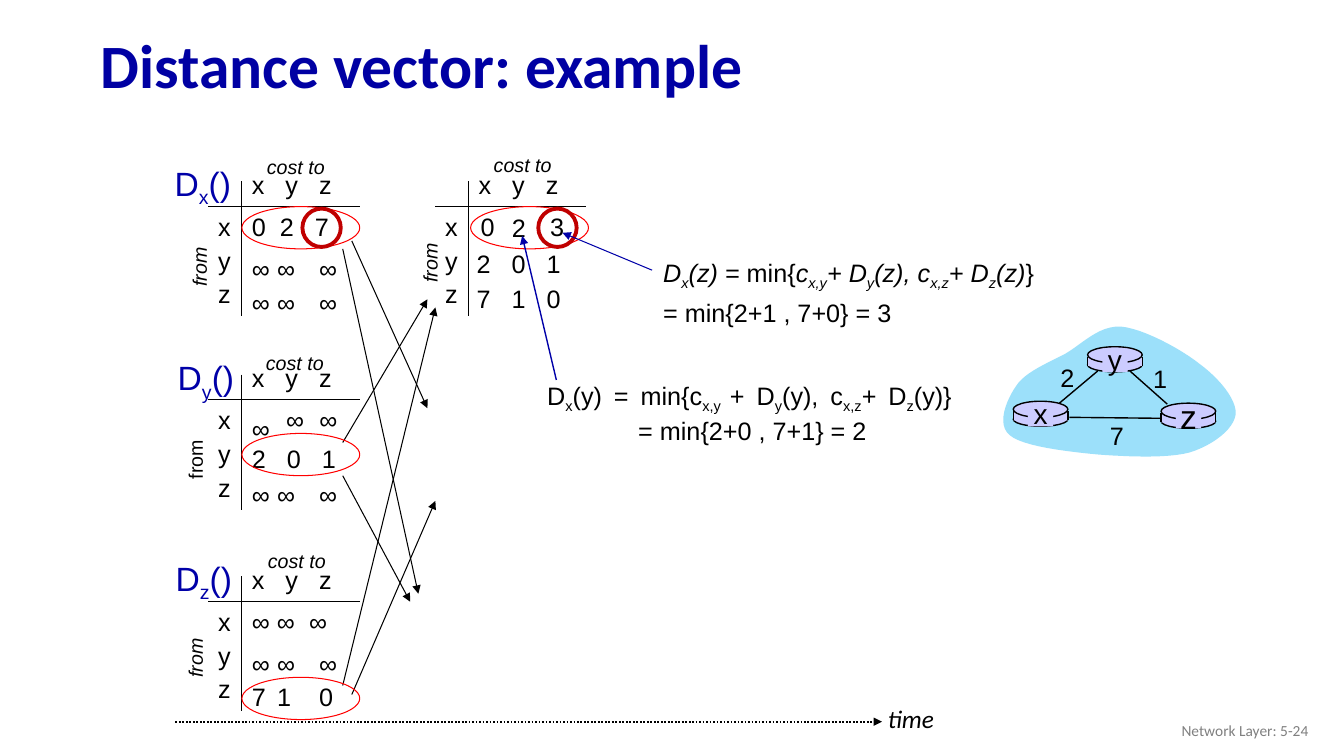
import pptx
import pptx.util
import pptx.dml.color
import pptx.enum.dml
import pptx.enum.shapes
import pptx.enum.text
import pptx.oxml
import pptx.oxml.ns

Pt = pptx.util.Pt
SHAPES = pptx.enum.shapes.MSO_SHAPE
ALIGN = pptx.enum.text.PP_ALIGN
ANCHOR = pptx.enum.text.MSO_ANCHOR
COLORS = {
    "title": "0000A3", "footer": "808080", "black": "000000", "blue": "0000A8",
    "red": "FF0000", "dark red": "C00000", "cloud": "9CE0FA", "router": "CCCCFF",
}
COLORS = {name: pptx.dml.color.RGBColor.from_string(value) for name, value in COLORS.items()}

presentation = pptx.Presentation()
presentation.slide_width, presentation.slide_height = Pt(960), Pt(540)
slide = presentation.slides.add_slide(presentation.slide_layouts[6])


def write(text, left, top, width, height, size=18, font="Arial", color="black", bold=False,
          italic=False, align=ALIGN.LEFT, anchor=ANCHOR.TOP, spacing=None, tabs=(), rotation=0):
    """Between bars text is subscript, between tildes upright; \\v breaks a line."""
    box = slide.shapes.add_textbox(Pt(left), Pt(top), Pt(width), Pt(height))
    box.rotation = rotation
    frame = box.text_frame
    frame.word_wrap = True
    frame.vertical_anchor = anchor
    frame.margin_left = Pt(7.2 if align in (ALIGN.LEFT, ALIGN.JUSTIFY) else 0)
    frame.margin_right = Pt(7.2 if align == ALIGN.RIGHT else 0)
    for number, content in enumerate(text.split("\n")):
        paragraph = frame.add_paragraph() if number else frame.paragraphs[0]
        paragraph.alignment = align
        if spacing:
            paragraph.line_spacing = spacing
        if tabs:
            properties = paragraph._p.get_or_add_pPr()
            tab_list = properties.makeelement(pptx.oxml.ns.qn("a:tabLst"), {})
            properties.append(tab_list)
            for position in tabs:
                tab_list.append(tab_list.makeelement(
                    pptx.oxml.ns.qn("a:tab"), {"pos": str(Pt(position)), "algn": "l"}))
        for level, part in enumerate(content.split("|")):
            for slant, piece in enumerate(part.split("~")):
                for row, words in enumerate(piece.split("\v")):
                    if row:
                        paragraph.add_line_break()
                    if not words:
                        continue
                    run = paragraph.add_run()
                    run.text = words
                    run.font.size, run.font.name, run.font.bold = Pt(size), font, bold
                    run.font.italic = italic and slant % 2 == 0
                    run.font.color.rgb = COLORS[color]
                    if level % 2:
                        run.font._element.set("baseline", "-25000")


def line(x1, y1, x2, y2, color="black", weight=0.75, arrow=False, dash=None):
    connector = slide.shapes.add_connector(
        pptx.enum.shapes.MSO_CONNECTOR.STRAIGHT, Pt(x1), Pt(y1), Pt(x2), Pt(y2))
    connector.line.color.rgb = COLORS[color]
    connector.line.width = Pt(weight)
    if dash:
        connector.line.dash_style = dash
    if arrow:
        outline = connector.line._get_or_add_ln()
        outline.append(outline.makeelement(pptx.oxml.ns.qn("a:tailEnd"), {"type": "triangle"}))
    properties = connector._element.spPr
    properties.append(properties.makeelement(pptx.oxml.ns.qn("a:effectLst"), {}))


# Title and footer
write("Distance vector: example", 64.8, 13.7, 857.5, 70.6, size=44, font="Calibri",
      color="title", bold=True, anchor=ANCHOR.MIDDLE, spacing=0.9)
write("Network Layer: 5-24", 725.8, 507.6, 216, 28.8, size=11, font="Calibri",
      color="footer", align=ALIGN.RIGHT, anchor=ANCHOR.MIDDLE)

# Distance tables: axis corner, name, "cost to", "from" and its slant,
# then rows of (distance below the axis, columns, values)
wide, even = (0, 18, 48), (0, 25, 50)
tables = [
    (172.8, 147.6, ("D|x|()", 115.9, 114.5), (183.6, 107.3), (121, 178.6), True,
     [(0, (0, 20, 45), "0\t2\t7"), (29.5, wide, "∞∞∞"), (54, wide, "∞∞∞")]),
    (334.8, 147.6, None, (345.6, 105.8), (285.8, 175.7), True,
     [(0, (1.4, 51.1), "03"), (0.7, (23.8,), "2"),
      (25.9, (-1.4, 25, 50), "2\t0\t1"), (51.1, (-1.4, 25, 50), "7\t1\t0")]),
    (172.8, 285.6, ("D|y|()", 118.1, 253.4), (182.9, 247), (118.1, 316.1), False,
     [(0, (24.5, 48.2), "∞∞"), (6, even, "∞\n2\t0\t1"), (53.5, wide, "∞∞∞")]),
    (172.8, 429.6, ("D|z|()", 116.6, 396.7), (184.3, 388.8), (118.1, 457.9), True,
     [(0, (0, 18, 41), "∞\t∞\t∞"), (30, wide, "∞∞∞"), (53.5, wide, "710")]),
]
for axis_x, axis_y, name, cost_at, from_at, slanted, rows in tables:
    line(axis_x, axis_y - 18, axis_x, axis_y + 78.4)
    line(axis_x - 24, axis_y, axis_x + 84, axis_y)
    write("x\ty\tz", axis_x, axis_y - 30.2, 71.3, 29, tabs=(24, 48))
    for index, node in enumerate("xyz"):
        write(node, axis_x - 24, axis_y + 24 * index, 24, 29)
    for below, columns, values in rows:
        if "\t" in values:
            write(values, axis_x + columns[0], axis_y + below, 78, 29, tabs=columns[1:])
        else:
            for column, value in zip(columns, values):
                write(value, axis_x + column, axis_y + below, 27, 29)
    write("cost to", *cost_at, 55.4, 24, size=14, italic=True)
    write("from", *from_at, 42.5, 24, size=14, italic=slanted, rotation=270)
    if name:
        write(*name, 56.2, 31.7, size=24, color="blue", align=ALIGN.RIGHT, spacing=0.85)

# Messages between the nodes
for ends in [(251.3, 172.1, 305.3, 291.6), (244.8, 177.8, 298.8, 424.1),
             (244.8, 316.1, 305.3, 213.8), (244.8, 339.8, 293, 429.8),
             (244.8, 489.6, 311, 219.6), (251.3, 496.1, 311, 357.8)]:
    line(*ends, arrow=True)

# Time axis
line(125.3, 515.5, 630, 515.5, weight=1.25, arrow=True,
     dash=pptx.enum.dml.MSO_LINE.ROUND_DOT)
write("time", 627.1, 499, 48.2, 29, font="Calibri", italic=True)

# Network cloud, from cubic curves
cloud_start = (725.8, 275.8)
cloud_curves = [
    ((732.2, 265.7), (748.8, 259.2), (761, 252.7)),
    ((773.3, 245.5), (784.8, 232.6), (800.6, 233.3)),
    ((816.5, 234.7), (843.1, 249.1), (856.8, 259.9)),
    ((870.5, 270), (883.4, 285.1), (882.7, 295.9)),
    ((881.3, 306.7), (866.2, 318.2), (849.6, 323.3)),
    ((833, 327.6), (805, 326.2), (784.1, 324.7)),
    ((762.5, 322.6), (730.8, 319), (721.4, 311)),
    ((711.4, 303.1), (719.3, 285.1), cloud_start),
]
outline_points = []
begin = cloud_start
for first, second, end in cloud_curves:
    for step in range(1, 13):
        t = step / 12
        outline_points.append(tuple(
            Pt((1 - t) ** 3 * a + 3 * (1 - t) ** 2 * t * b + 3 * (1 - t) * t ** 2 * c + t ** 3 * d)
            for a, b, c, d in zip(begin, first, second, end)))
    begin = end
builder = slide.shapes.build_freeform(Pt(cloud_start[0]), Pt(cloud_start[1]))
builder.add_line_segments(outline_points, close=True)
cloud = builder.convert_to_shape()
cloud.shadow.inherit = False
cloud.fill.solid()
cloud.fill.fore_color.rgb = COLORS["cloud"]
cloud.line.fill.background()

# Links and their costs
for ends, cost, left, top in [((756.7, 288, 784.1, 265), "2", 750.2, 254.9),
                              ((807.1, 265, 833.8, 288.7), "1", 816.5, 255.6),
                              ((831, 298.8, 763.9, 298.1), "7", 785.5, 296.6)]:
    line(*ends, weight=1)
    write(cost, left, top, 24.5, 29, align=ALIGN.CENTER)

# Routers: base, body with sides, top and label patch
for node, left, top, size in [("x", 723.8, 286.6, 20), ("z", 829.4, 288, 24),
                              ("y", 776.9, 247.7, 20)]:
    for kind, dx, dy, width, height, outlined in [
            (SHAPES.OVAL, 0, 7.9, 39, 10, True), (SHAPES.RECTANGLE, 0, 7.2, 39, 6.5, False),
            (SHAPES.OVAL, 0, 0, 39, 11.5, True), (SHAPES.RECTANGLE, 10.5, 1.4, 18, 16.6, False)]:
        shape = slide.shapes.add_shape(kind, Pt(left + dx), Pt(top + dy), Pt(width), Pt(height))
        shape.shadow.inherit = False
        shape.fill.solid()
        shape.fill.fore_color.rgb = COLORS["router"]
        if outlined:
            shape.line.color.rgb = COLORS["black"]
            shape.line.width = Pt(1)
        else:
            shape.line.fill.background()
    for side in (left, left + 39):
        line(side, top + 7.2, side, top + 13.7, weight=1)
    label_height = size * 1.2 + 7.2
    write(node, left + 7, top + 9 - label_height / 2, 25, label_height, size=size,
          align=ALIGN.CENTER)

# Rings around the sent rows and the changed cost
row_rings = [(left, top, 84.2, 30.2, "red", 0.75) for left, top in
             [(172.8, 147.6), (172.8, 309.6), (172.8, 483.8), (336.2, 147.6)]]
cost_rings = [(left, 149, 27.4, 27.4, "dark red", 2.75) for left in (216, 384.5)]
for left, top, width, height, color, weight in row_rings + cost_rings:
    ring = slide.shapes.add_shape(SHAPES.OVAL, Pt(left), Pt(top), Pt(width), Pt(height))
    ring.shadow.inherit = False
    ring.fill.background()
    ring.line.color.rgb = COLORS[color]
    ring.line.width = Pt(weight)

# Formulas and their pointers
write("D|x|(y) = min{c|x,y |+ D|y|(y), c|x,z|+ D|z|(y)}\v\t= min{2+0 , 7+1} = 2",
      383.8, 269.3, 296, 51.1, align=ALIGN.JUSTIFY, anchor=ANCHOR.MIDDLE, tabs=(65,))
line(397.4, 271.4, 373, 168.5, color="blue", weight=1, arrow=True)
write("D|x|(z) = ~min{~c|x,y|+ D|y|(z), c|x,z|+ D|z|(z)~}\n~= min{2+1 , 7+0} = 3",
      466.6, 177.8, 288, 56.9, italic=True, anchor=ANCHOR.MIDDLE, spacing=1.2)
line(465.8, 193, 401.8, 166.3, color="blue", arrow=True)

presentation.save("out.pptx")
